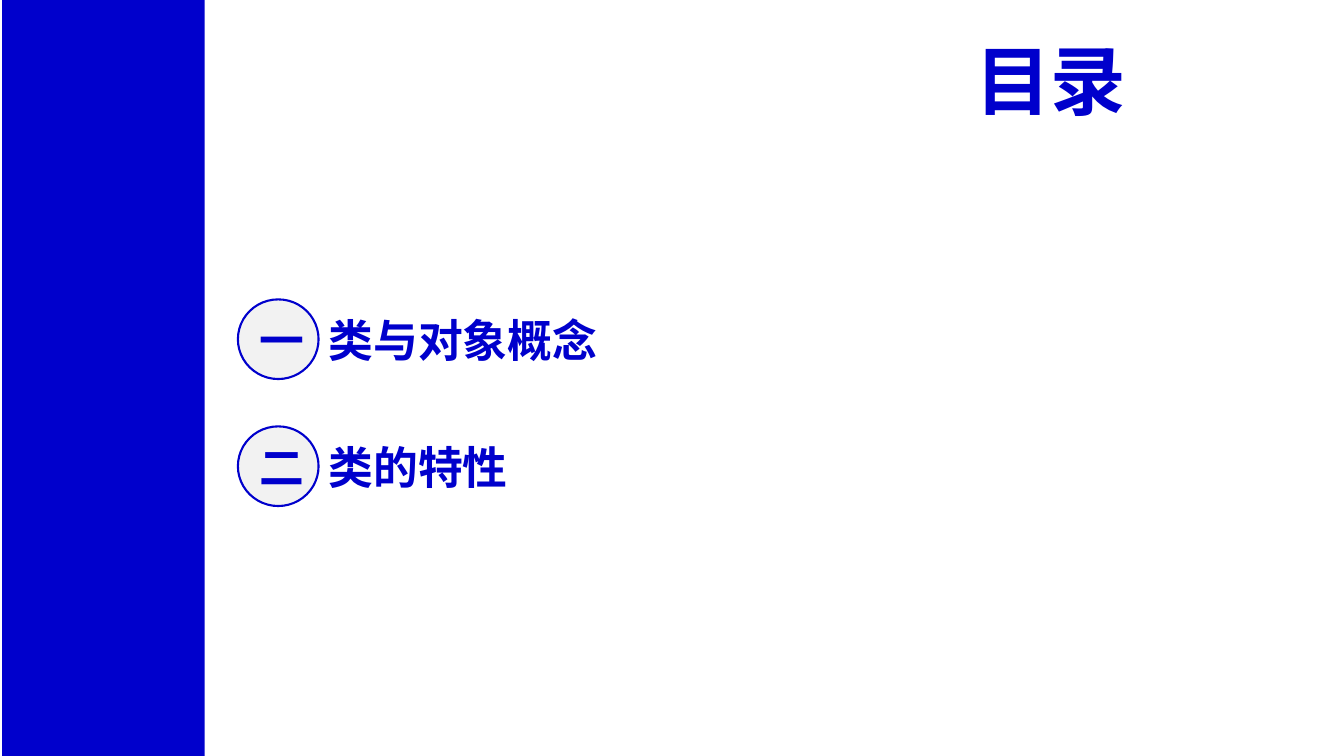
from dataclasses import dataclass

from lxml import etree
from pptx import Presentation
from pptx import util as u
from pptx.dml.color import RGBColor
from pptx.enum import shapes, text
from pptx.oxml.ns import qn


@dataclass(frozen=True)
class Theme:
    blue: RGBColor = RGBColor(0x00, 0x00, 0xCC)
    pale: RGBColor = RGBColor(0xF2, 0xF2, 0xF2)
    latin: str = "Arial"
    chinese: str = "Noto Sans CJK SC"
    title_size: int = 54
    item_size: int = 32
    outline: float = 1.5


THEME = Theme()
WIDTH, HEIGHT = 13.33, 7.5
ITEMS = [("一", "类与对象概念"), ("二", "类的特性")]


def inches(*lengths):
    return [u.Inches(length) for length in lengths]


def write(sp, words, size, font, align, anchor, wrap=True):
    tf = sp.text_frame
    tf.word_wrap = wrap
    tf.vertical_anchor = anchor
    p = tf.paragraphs[0]
    p.text = words
    p.alignment = align
    p.font.size = u.Pt(size)
    p.font.bold = True
    p.font.color.rgb = THEME.blue
    p.font.name = font
    # East Asian typeface
    ea = etree.SubElement(p.font._element, qn("a:ea"))
    ea.set("typeface", THEME.chinese)


def add_filled(slide, kind, box, fill):
    sp = slide.shapes.add_shape(kind, *inches(*box))
    sp.shadow.inherit = False
    sp.fill.solid()
    sp.fill.fore_color.rgb = fill
    sp.line.fill.background()
    return sp


def add_side_band(slide, box):
    add_filled(slide, shapes.MSO_SHAPE.RECTANGLE, box, THEME.blue)


def add_title(slide, box, words):
    sp = slide.shapes.add_textbox(*inches(*box))
    write(sp, words, THEME.title_size, THEME.latin,
          text.PP_ALIGN.RIGHT, text.MSO_ANCHOR.TOP, wrap=False)


def add_item(slide, box, number, words):
    left, top, width, height = box
    badge_width, label_height = 0.8, 0.64

    # Numbered badge
    badge = add_filled(slide, shapes.MSO_SHAPE.OVAL,
                       (left, top, badge_width, height), THEME.pale)
    badge.line.color.rgb = THEME.blue
    badge.line.width = u.Pt(THEME.outline)
    write(badge, number, THEME.item_size, THEME.chinese,
          text.PP_ALIGN.CENTER, text.MSO_ANCHOR.MIDDLE)

    # Label, centred on the badge
    label = slide.shapes.add_textbox(*inches(
        left + badge_width, top + (height - label_height) / 2,
        width - badge_width, label_height))
    write(label, words, THEME.item_size, THEME.latin,
          text.PP_ALIGN.LEFT, text.MSO_ANCHOR.MIDDLE)


def add_contents(slide, box, items):
    left, top, width, height = box
    row_height = 0.79
    pitch = (height - row_height) / (len(items) - 1)
    for row, (number, words) in enumerate(items):
        add_item(slide, (left, top + row * pitch, width, row_height),
                 number, words)


def main():
    prs = Presentation()
    prs.slide_width, prs.slide_height = inches(WIDTH, HEIGHT)
    slide = prs.slides.add_slide(prs.slide_layouts[6])
    add_side_band(slide, (0.02, 0, 2.01, HEIGHT))
    add_title(slide, (9.51, 0.29, 1.76, 1.01), "目录")
    add_contents(slide, (2.36, 2.97, 7, 2.05), ITEMS)
    prs.save("out.pptx")


if __name__ == "__main__":
    main()
